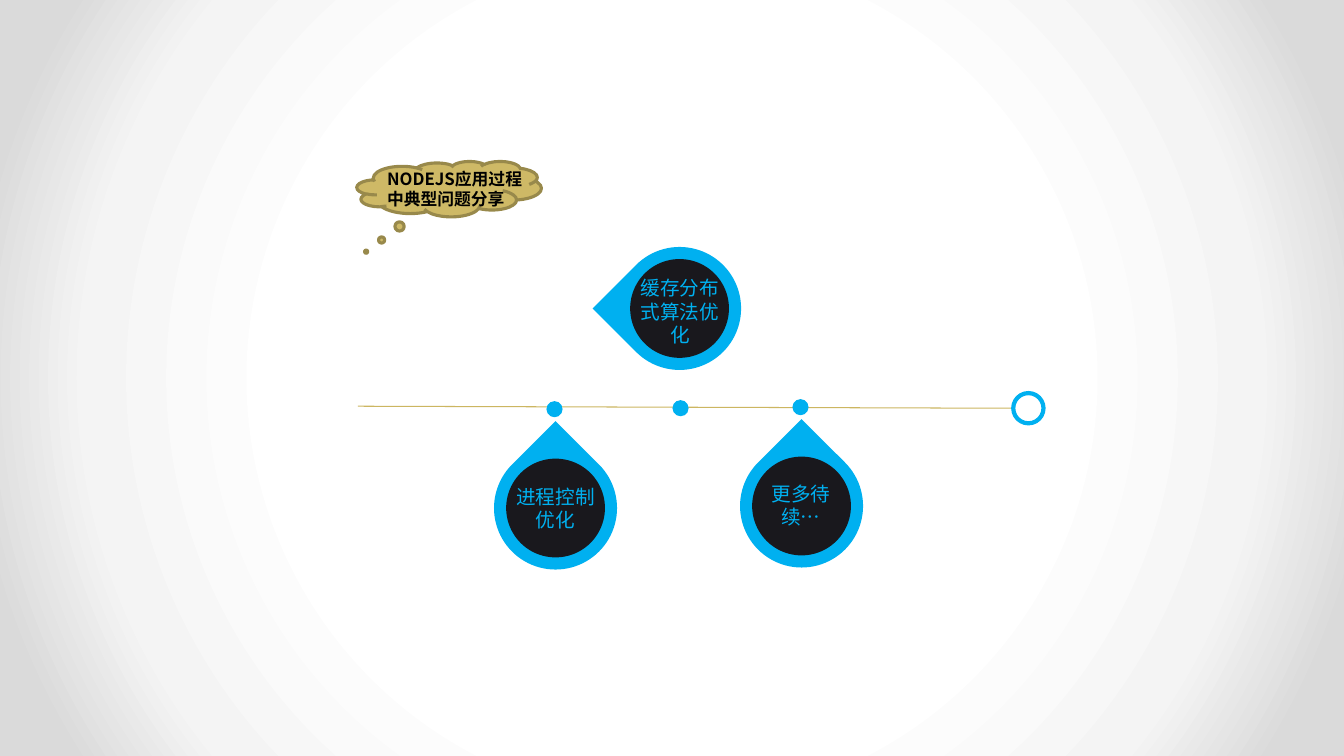
from lxml import etree
from pptx import Presentation
from pptx.dml.color import RGBColor
from pptx.enum.shapes import MSO_CONNECTOR, MSO_SHAPE as SHAPE
from pptx.enum.text import MSO_AUTO_SIZE, PP_ALIGN
from pptx.oxml import parse_xml
from pptx.oxml.ns import nsdecls, qn
from pptx.util import Inches, Pt

BLUE = RGBColor(0x00, 0xB0, 0xF0)
DARK = RGBColor(0x19, 0x18, 0x1D)
GOLD = RGBColor(0xCE, 0xB9, 0x66)
GOLD_LINE = RGBColor(0xCC, 0xB6, 0x61)
GOLD_EDGE = RGBColor(0x98, 0x89, 0x4B)
BLACK = RGBColor(0x00, 0x00, 0x00)
CJK = "Noto Sans CJK SC"
DROP, DISC, DOT = 1.22, 0.98, 0.16

prs = Presentation()
prs.slide_width, prs.slide_height = Inches(13.33), Inches(7.5)
s = prs.slides.add_slide(prs.slide_layouts[6])


def add_shape(kind, x, y, w, h, fill=None, line=None, width=0):
    sp = s.shapes.add_shape(kind, Inches(x), Inches(y), Inches(w), Inches(h))
    sp.shadow.inherit = False
    if fill is None:
        sp.fill.background()
    else:
        sp.fill.solid()
        sp.fill.fore_color.rgb = fill
    if line is None:
        sp.line.fill.background()
    else:
        sp.line.color.rgb = line
        sp.line.width = Pt(width)
    return sp


def add_text(text, x, y, w, h, align, font, size, color, bold=False):
    tf = s.shapes.add_textbox(Inches(x), Inches(y), Inches(w), Inches(h)).text_frame
    tf.word_wrap = True
    tf.auto_size = MSO_AUTO_SIZE.SHAPE_TO_FIT_TEXT
    p = tf.paragraphs[0]
    p.alignment = align
    r = p.add_run()
    r.text = text
    for name, value in {"name": font, "size": Pt(size), "bold": bold}.items():
        setattr(r.font, name, value)
    r.font.color.rgb = color
    etree.SubElement(r.font._element, qn("a:ea"), typeface=CJK)


# Background: white centre fading to grey
fill = s.background.fill
fill.gradient()
grad = s.background._cSld.find(".//" + qn("a:gradFill"))
stops = "".join(
    f'<a:gs pos="{pos * 1000}"><a:srgbClr val="{color}"/></a:gs>'
    for pos, color in [(50, "FFFFFF"), (76, "F4F4F4"), (92, "DADADA")])
grad.getparent().replace(grad, parse_xml(
    f'<a:gradFill {nsdecls("a")} rotWithShape="1"><a:gsLst>{stops}</a:gsLst>'
    '<a:path path="circle"><a:fillToRect l="50000" t="50000" r="50000" b="50000"/>'
    '</a:path></a:gradFill>'))

# Timeline with its end ring
axis = s.shapes.add_connector(MSO_CONNECTOR.STRAIGHT, Inches(3.55), Inches(4.03),
                              Inches(10.05), Inches(4.05))
axis.line.color.rgb = GOLD_LINE
axis.line.width = Pt(0.75)
etree.SubElement(axis._element.spPr, qn("a:effectLst"))
add_shape(SHAPE.OVAL, 10.05, 3.9, 0.3, 0.3, line=BLUE, width=3)

# Topics: dot corner, drop corner, drop rotation, text and its box
topics = [
    ((6.67, 3.97), (6.13, 2.45), 225, "缓存分布式算法优化", (6.21, 2.69, 1.07, 0.81)),
    ((7.86, 3.96), (7.34, 4.41), 315, "更多待续…", (7.41, 4.73, 1.07, 0.57)),
    ((5.42, 3.98), (4.9, 4.43), 315, "进程控制优化", (5.01, 4.76, 1, 0.57)),
]
inset = (DROP - DISC) / 2
for dot, (x, y), angle, text, box in topics:
    add_shape(SHAPE.OVAL, *dot, DOT, DOT, fill=BLUE)
    add_shape(SHAPE.TEAR, x, y, DROP, DROP, fill=BLUE).rotation = angle
    add_shape(SHAPE.OVAL, x + inset, y + inset, DISC, DISC, fill=DARK)
    add_text(text, *box, PP_ALIGN.CENTER, "Arial", 14, BLUE)

# Thought cloud with the subject
cloud = add_shape(SHAPE.CLOUD_CALLOUT, 3.54, 1.6, 1.83, 0.55, GOLD, GOLD_EDGE, 2.25)
cloud.adjustments[0], cloud.adjustments[1] = -0.45, 1.131
add_text("NODEJS应用过程中典型问题分享", 3.74, 1.62, 1.58, 0.5,
         PP_ALIGN.LEFT, CJK, 12, BLACK, bold=True)

prs.save("out.pptx")
